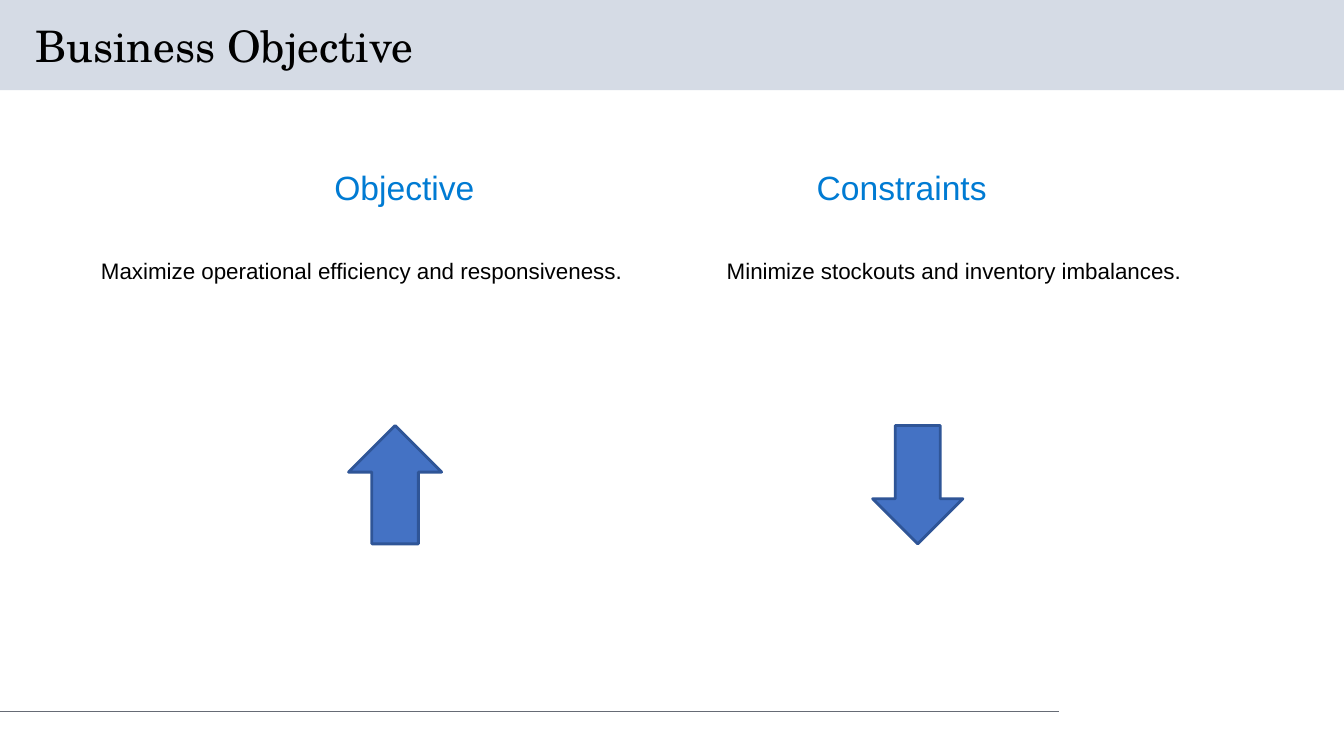
from lxml import etree
from pptx import Presentation
from pptx.dml.color import RGBColor
from pptx.enum.shapes import MSO_CONNECTOR, MSO_SHAPE
from pptx.enum.text import MSO_ANCHOR, PP_ALIGN
from pptx.oxml.ns import qn
from pptx.util import Pt

COLORS = {
    "band": "D5DBE5",
    "rule": "666B75",
    "black": "000000",
    "heading": "007BD3",
    "arrow": "4472C4",
    "arrow_line": "2F5597",
}


def rgb(name):
    return RGBColor.from_string(COLORS[name])


def place(sp, left, top, width, height):
    sp.left, sp.top, sp.width, sp.height = (
        Pt(v) for v in (left, top, width, height))


def set_text(sp, text, size=16, font="Arial", color="black",
             align=PP_ALIGN.LEFT, anchor=MSO_ANCHOR.TOP, spacing=1.0):
    tf = sp.text_frame
    tf.word_wrap = True
    tf.vertical_anchor = anchor
    tf.margin_left = tf.margin_right = Pt(7.2)
    tf.margin_top = tf.margin_bottom = Pt(3.6)
    p = tf.paragraphs[0]
    p.alignment = align
    p.line_spacing = spacing
    r = p.add_run()
    r.text = text
    r.font.size = Pt(size)
    r.font.name = font
    r.font.color.rgb = rgb(color)


def add_text(slide, box, text, **fmt):
    sp = slide.shapes.add_textbox(*(Pt(v) for v in box))
    set_text(sp, text, **fmt)


def add_shape(slide, kind, box, fill, line=None):
    sp = slide.shapes.add_shape(kind, *(Pt(v) for v in box))
    sp.shadow.inherit = False
    sp.fill.solid()
    sp.fill.fore_color.rgb = rgb(fill)
    if line:
        sp.line.color.rgb = rgb(line)
        sp.line.width = Pt(2)
    else:
        sp.line.fill.background()


def add_rule(slide, x1, x2, y):
    line = slide.shapes.add_connector(
        MSO_CONNECTOR.STRAIGHT, Pt(x1), Pt(y), Pt(x2), Pt(y))
    line.line.color.rgb = rgb("rule")
    line.line.width = Pt(0.75)
    etree.SubElement(line._element.spPr, qn("a:effectLst"))


def add_title(slide, text):
    title = slide.shapes.title
    place(title, 18, 14.4, 828, 41)
    set_text(title, text, size=31, font="TeX Gyre Schola",
             anchor=MSO_ANCHOR.MIDDLE, spacing=0.9)
    # Bring the title in front of the band
    slide.shapes._spTree.append(title._element)


def add_column(slide, heading, center, body, left, arrow, arrow_left, arrow_width):
    add_text(slide, (center - 120, 115.5, 240, 40), heading,
             size=24, color="heading", align=PP_ALIGN.CENTER)
    add_text(slide, (left, 180, 420, 30), body)
    add_shape(slide, arrow, (arrow_left, 304, arrow_width, 84.5),
              "arrow", "arrow_line")


def main():
    prs = Presentation()
    prs.slide_width, prs.slide_height = Pt(960), Pt(540)
    slide = prs.slides.add_slide(prs.slide_layouts[5])

    # Header band, footer rule and title
    add_shape(slide, MSO_SHAPE.RECTANGLE, (0, 0, 960, 64.5), "band")
    add_rule(slide, 0, 756.5, 508.3)
    add_title(slide, "Business Objective")

    # Objective and constraints columns
    add_column(slide, "Objective", 288.8,
               "Maximize operational efficiency and responsiveness.", 65,
               MSO_SHAPE.UP_ARROW, 249, 66.5)
    add_column(slide, "Constraints", 644,
               "Minimize stockouts and inventory imbalances.", 512,
               MSO_SHAPE.DOWN_ARROW, 623.3, 64.5)

    prs.save("out.pptx")


if __name__ == "__main__":
    main()
